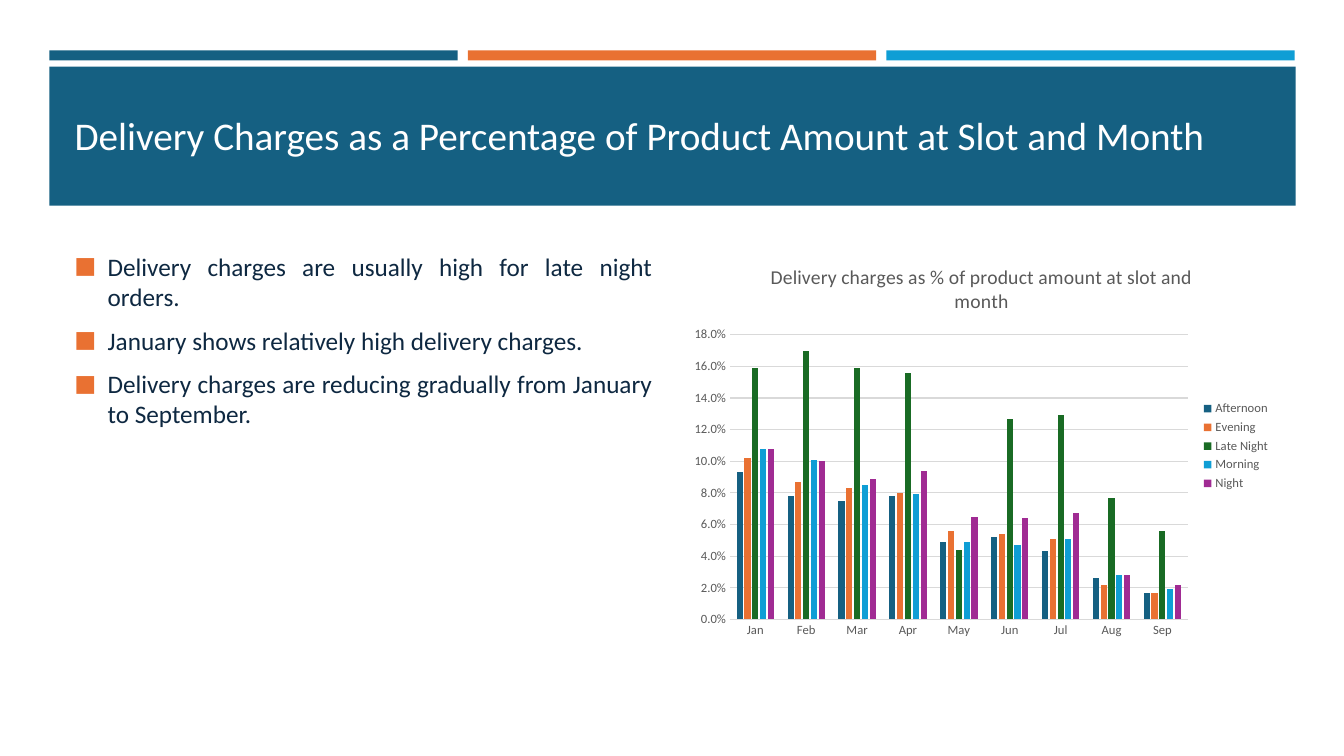
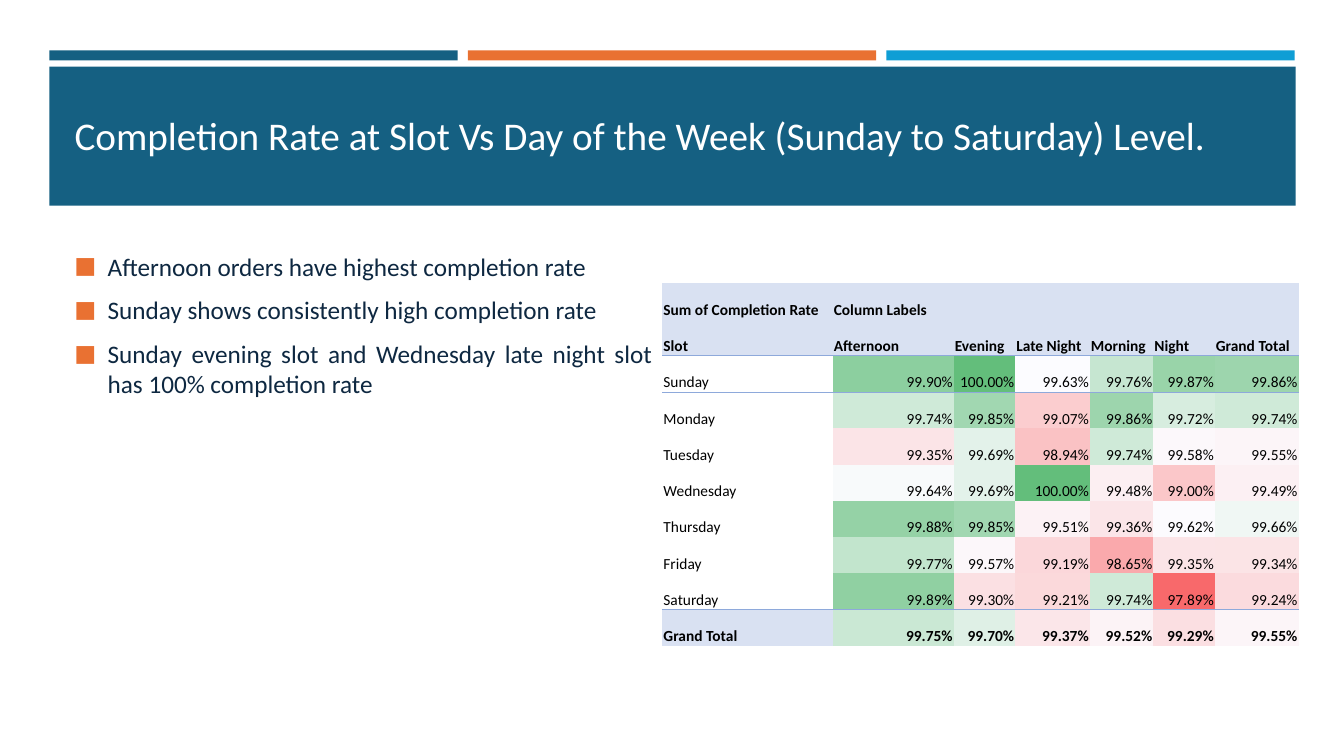
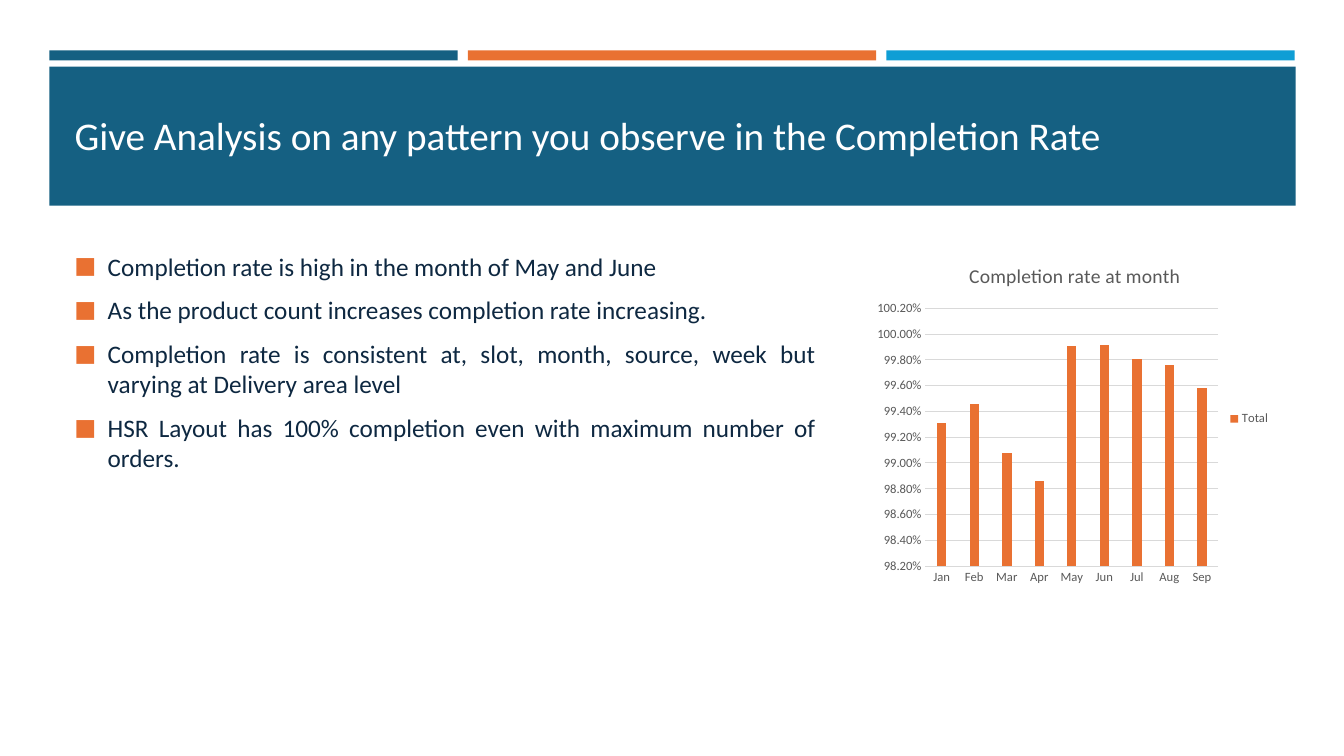
"""Builds three slides on delivery charges and completion rates."""
import lxml.etree
import pptx
import pptx.chart.data
import pptx.dml.color
import pptx.enum.chart
import pptx.enum.shapes
import pptx.enum.text
import pptx.oxml.ns
import pptx.util

Inches = pptx.util.Inches
Pt = pptx.util.Pt
qn = pptx.oxml.ns.qn

FONT = "Calibri"
TEAL, ORANGE, GREEN, BLUE, PURPLE = "156082", "E97132", "196B24", "0F9ED5", "A02B93"
NAVY, WHITE, BLACK = "0E2841", "FFFFFF", "000000"
GRAY, GRID = "595959", "D9D9D9"
HEADER_FILL, TABLE_LINE = "D9E1F2", "8EA9DB"
HEAT_LOW, HEAT_MIDDLE, HEAT_HIGH = "F8696B", "FCFCFF", "63BE7B"
NO_TABLE_STYLE = "{2D5ABB26-0587-4C30-8999-92F81FD0307C}"
MONTHS = ["Jan", "Feb", "Mar", "Apr", "May", "Jun", "Jul", "Aug", "Sep"]

CHARGES = {
    "Afternoon": (TEAL, [0.093, 0.078, 0.075, 0.078, 0.049, 0.052, 0.043, 0.026, 0.017]),
    "Evening": (ORANGE, [0.102, 0.087, 0.083, 0.08, 0.056, 0.054, 0.051, 0.022, 0.017]),
    "Late Night": (GREEN, [0.159, 0.17, 0.159, 0.156, 0.044, 0.127, 0.129, 0.077, 0.056]),
    "Morning": (BLUE, [0.108, 0.101, 0.085, 0.079, 0.049, 0.047, 0.051, 0.028, 0.019]),
    "Night": (PURPLE, [0.108, 0.1, 0.089, 0.094, 0.065, 0.064, 0.067, 0.028, 0.022]),
}
MONTHLY_RATE = {
    "Total": (ORANGE, [0.9931, 0.9946, 0.9908, 0.9886, 0.9991,
                       0.9992, 0.9981, 0.9976, 0.9958]),
}
RATE_HEADERS = [
    ["Sum of Completion Rate", "Column Labels", "", "", "", "", ""],
    ["Slot", "Afternoon", "Evening", "Late Night", "Morning", "Night", "Grand Total"],
]
RATES = {
    "Sunday": [99.90, 100, 99.63, 99.76, 99.87, 99.86],
    "Monday": [99.74, 99.85, 99.07, 99.86, 99.72, 99.74],
    "Tuesday": [99.35, 99.69, 98.94, 99.74, 99.58, 99.55],
    "Wednesday": [99.64, 99.69, 100, 99.48, 99.00, 99.49],
    "Thursday": [99.88, 99.85, 99.51, 99.36, 99.62, 99.66],
    "Friday": [99.77, 99.57, 99.19, 98.65, 99.35, 99.34],
    "Saturday": [99.89, 99.30, 99.21, 99.74, 97.89, 99.24],
    "Grand Total": [99.75, 99.70, 99.37, 99.52, 99.29, 99.55],
}
RATE_WIDTHS = [1.69, 1.2, 0.61, 0.74, 0.63, 0.61, 0.83]


def rgb(color):
    return pptx.dml.color.RGBColor.from_string(color)


def set_font(font, size, color, bold=False):
    font.name, font.size, font.bold = FONT, Pt(size), bold
    font.color.rgb = rgb(color)


def heat_color(rate, low=97.89, middle=99.63, high=100):
    if rate < middle:
        end, share = HEAT_LOW, (middle - rate) / (middle - low)
    else:
        end, share = HEAT_HIGH, (rate - middle) / (high - middle)
    pairs = zip(bytes.fromhex(HEAT_MIDDLE), bytes.fromhex(end))
    return "".join(f"{round(a + (b - a) * share):02X}" for a, b in pairs)


class Deck:
    def __init__(self):
        self.presentation = pptx.Presentation()
        self.presentation.slide_width = Inches(13.33)
        self.presentation.slide_height = Inches(7.5)
        self.slide = None

    def add_slide(self, title):
        self.slide = self.presentation.slides.add_slide(self.presentation.slide_layouts[5])
        for index, color in enumerate([TEAL, ORANGE, BLUE]):
            self.add_band(0.49 + 4.15 * index, 0.5, 4.05, 0.1, color)
        self.add_band(0.49, 0.66, 12.36, 1.38, TEAL)
        shape = self.slide.shapes.title
        shape.left, shape.top = Inches(0.64), Inches(0.8)
        shape.width, shape.height = Inches(12.06), Inches(1.08)
        shape.element.getparent().append(shape.element)
        text_frame = shape.text_frame
        text_frame.text = title
        text_frame.auto_size = pptx.enum.text.MSO_AUTO_SIZE.NONE
        text_frame.vertical_anchor = pptx.enum.text.MSO_ANCHOR.MIDDLE
        paragraph = text_frame.paragraphs[0]
        paragraph.alignment = pptx.enum.text.PP_ALIGN.LEFT
        set_font(paragraph.runs[0].font, 28, WHITE)

    def add_band(self, left, top, width, height, color):
        shape = self.slide.shapes.add_shape(
            pptx.enum.shapes.MSO_SHAPE.RECTANGLE,
            Inches(left), Inches(top), Inches(width), Inches(height))
        shape.shadow.inherit = False
        shape.fill.solid()
        shape.fill.fore_color.rgb = rgb(color)
        shape.line.fill.background()

    def add_bullets(self, width, height, items):
        shape = self.slide.shapes.add_textbox(
            Inches(0.64), Inches(2.44), Inches(width), Inches(height))
        text_frame = shape.text_frame
        text_frame.word_wrap = True
        text_frame.text = "\n".join(items)
        for index, paragraph in enumerate(text_frame.paragraphs):
            self.add_bullet_mark(paragraph)
            paragraph.alignment = pptx.enum.text.PP_ALIGN.JUSTIFY
            paragraph.space_before = Pt(3.6 if index else 0)
            paragraph.space_after = Pt(6)
            set_font(paragraph.runs[0].font, 18, NAVY)

    def add_bullet_mark(self, paragraph):
        properties = paragraph._p.get_or_add_pPr()
        properties.set("marL", str(Inches(0.33)))
        properties.set("indent", str(-Inches(0.33)))
        color = lxml.etree.SubElement(properties, qn("a:buClr"))
        lxml.etree.SubElement(color, qn("a:srgbClr"), val=ORANGE)
        lxml.etree.SubElement(properties, qn("a:buSzPct"), val="92000")
        lxml.etree.SubElement(properties, qn("a:buFont"), typeface=FONT)
        lxml.etree.SubElement(properties, qn("a:buChar"), char="■")

    def add_columns(self, box, title, series, number_format, scale, gap, overlap):
        data = pptx.chart.data.CategoryChartData(number_format=number_format)
        data.categories = MONTHS
        for name, (color, values) in series.items():
            data.add_series(name, values)
        chart = self.slide.shapes.add_chart(
            pptx.enum.chart.XL_CHART_TYPE.COLUMN_CLUSTERED,
            *[Inches(length) for length in box], data).chart
        set_font(chart.font, 10, BLACK)
        chart.has_title = True
        chart.chart_title.include_in_layout = False
        chart.chart_title.text_frame.text = title
        set_font(chart.chart_title.text_frame.paragraphs[0].runs[0].font, 14, GRAY)
        chart.has_legend = True
        chart.legend.position = pptx.enum.chart.XL_LEGEND_POSITION.RIGHT
        chart.legend.include_in_layout = False
        set_font(chart.legend.font, 9, GRAY)
        plot = chart.plots[0]
        plot.vary_by_categories = False
        plot.gap_width, plot.overlap = gap, overlap
        for columns in plot.series:
            columns.format.fill.solid()
            columns.format.fill.fore_color.rgb = rgb(series[columns.name][0])
        self.format_axes(chart, number_format, scale)

    def format_axes(self, chart, number_format, scale):
        value_axis = chart.value_axis
        for axis in (chart.category_axis, value_axis):
            axis.major_tick_mark = pptx.enum.chart.XL_TICK_MARK.NONE
            set_font(axis.tick_labels.font, 9, GRAY)
        value_axis.minimum_scale, value_axis.maximum_scale, value_axis.major_unit = scale
        value_axis.tick_labels.number_format = number_format
        value_axis.tick_labels.number_format_is_linked = False
        value_axis.format.line.fill.background()
        for line in (chart.category_axis.format.line, value_axis.major_gridlines.format.line):
            line.color.rgb = rgb(GRID)
            line.width = Pt(0.75)

    def add_rate_table(self, left, top, row_height):
        row_count = len(RATE_HEADERS) + len(RATES)
        frame = self.slide.shapes.add_table(
            row_count, len(RATE_WIDTHS), Inches(left), Inches(top),
            Inches(sum(RATE_WIDTHS)), Inches(row_height * row_count))
        frame.element.find(".//" + qn("a:tableStyleId")).text = NO_TABLE_STYLE
        table = frame.table
        table.first_row = table.horz_banding = False
        for column, width in zip(table.columns, RATE_WIDTHS):
            column.width = Inches(width)
        for row in table.rows:
            row.height = Inches(row_height)
        for row, labels in enumerate(RATE_HEADERS):
            for column, label in enumerate(labels):
                self.fill_cell(table.cell(row, column), label, HEADER_FILL, True)
        for row, (label, rates) in enumerate(RATES.items(), len(RATE_HEADERS)):
            total = label == "Grand Total"
            self.fill_cell(table.cell(row, 0), label, HEADER_FILL if total else None, total)
            for column, rate in enumerate(rates, 1):
                cell = table.cell(row, column)
                self.fill_cell(cell, f"{rate:.2f}%", heat_color(rate), total)
                cell.text_frame.paragraphs[0].alignment = pptx.enum.text.PP_ALIGN.RIGHT
        for upper_row in (len(RATE_HEADERS) - 1, row_count - 2):
            for column in range(len(RATE_WIDTHS)):
                self.add_border(table.cell(upper_row, column), "a:lnB")
                self.add_border(table.cell(upper_row + 1, column), "a:lnT")

    def fill_cell(self, cell, text, fill, bold):
        cell.margin_left = cell.margin_right = cell.margin_top = Inches(0.01)
        cell.margin_bottom = 0
        cell.vertical_anchor = pptx.enum.text.MSO_ANCHOR.BOTTOM
        if fill:
            cell.fill.solid()
            cell.fill.fore_color.rgb = rgb(fill)
        else:
            cell.fill.background()
        cell.text_frame.text = text
        for run in cell.text_frame.paragraphs[0].runs:
            set_font(run.font, 11, BLACK, bold)

    def add_border(self, cell, side):
        line = lxml.etree.Element(qn(side), w=str(Pt(0.5)))
        fill = lxml.etree.SubElement(line, qn("a:solidFill"))
        lxml.etree.SubElement(fill, qn("a:srgbClr"), val=TABLE_LINE)
        cell._tc.get_or_add_tcPr().insert(0, line)


def main():
    deck = Deck()

    deck.add_slide("Delivery Charges as a Percentage of Product Amount at Slot and Month")
    deck.add_bullets(5.93, 3.97, [
        "Delivery charges are usually high for late night orders.",
        "January shows relatively high delivery charges.",
        "Delivery charges are reducing gradually from January to September.",
    ])
    deck.add_columns(
        (6.77, 2.44, 5.93, 3.97), "Delivery charges as % of product amount at slot and month",
        CHARGES, "0.0%", (0, 0.18, 0.02), 219, -27)

    deck.add_slide("Completion Rate at Slot Vs Day of the Week (Sunday to Saturday) Level.")
    deck.add_bullets(5.93, 3.97, [
        "Afternoon orders have highest completion rate",
        "Sunday shows consistently high completion rate",
        "Sunday evening slot and Wednesday late night slot has 100% completion rate",
    ])
    deck.add_rate_table(6.57, 2.81, 0.36)

    deck.add_slide("Give Analysis on any pattern you observe in the Completion Rate")
    deck.add_bullets(7.55, 3.43, [
        "Completion rate is high in the month of May and June",
        "As the product count increases completion rate increasing.",
        "Completion rate is consistent at, slot, month, source, week but varying at "
        "Delivery area level",
        "HSR Layout has 100% completion even with maximum number of orders.",
    ])
    deck.add_columns(
        (8.62, 2.44, 4.08, 3.43), "Completion rate at month",
        MONTHLY_RATE, "0.00%", (0.982, 1.002, 0.002), 243, -30)

    deck.presentation.save("out.pptx")


if __name__ == "__main__":
    main()
